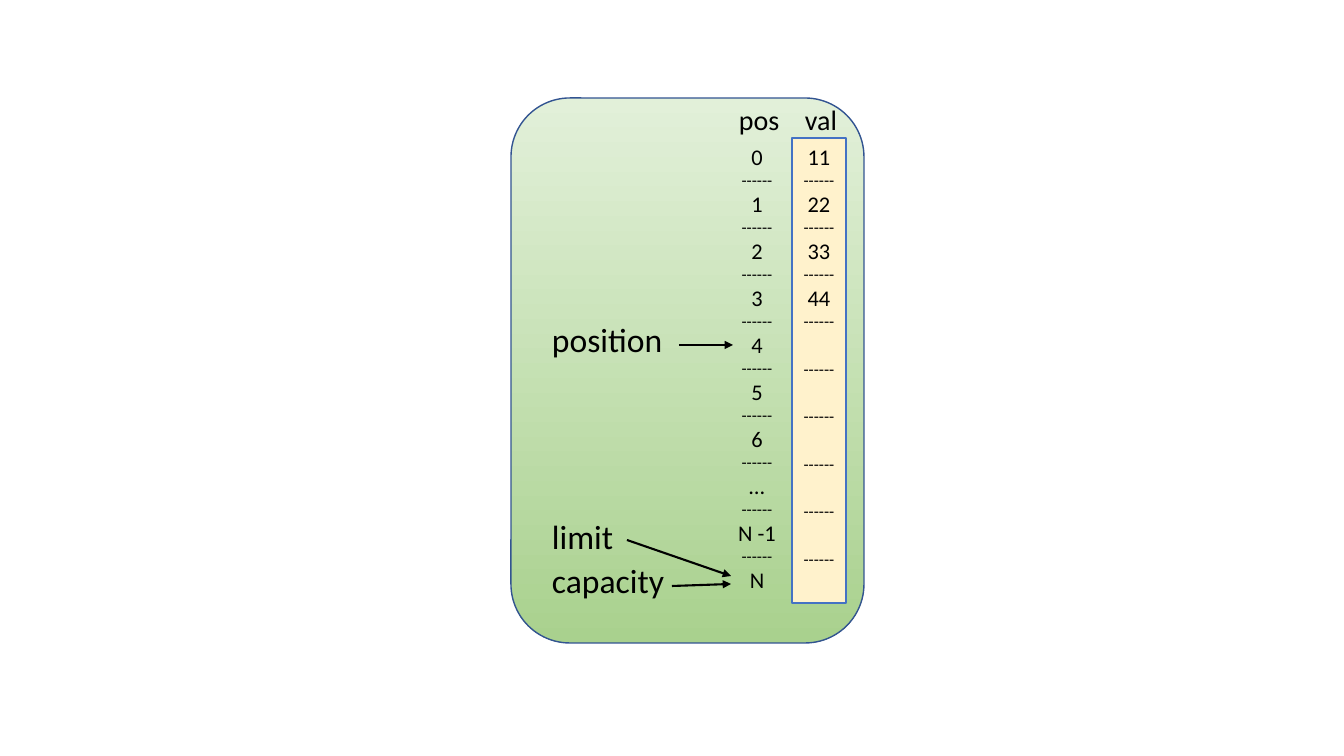
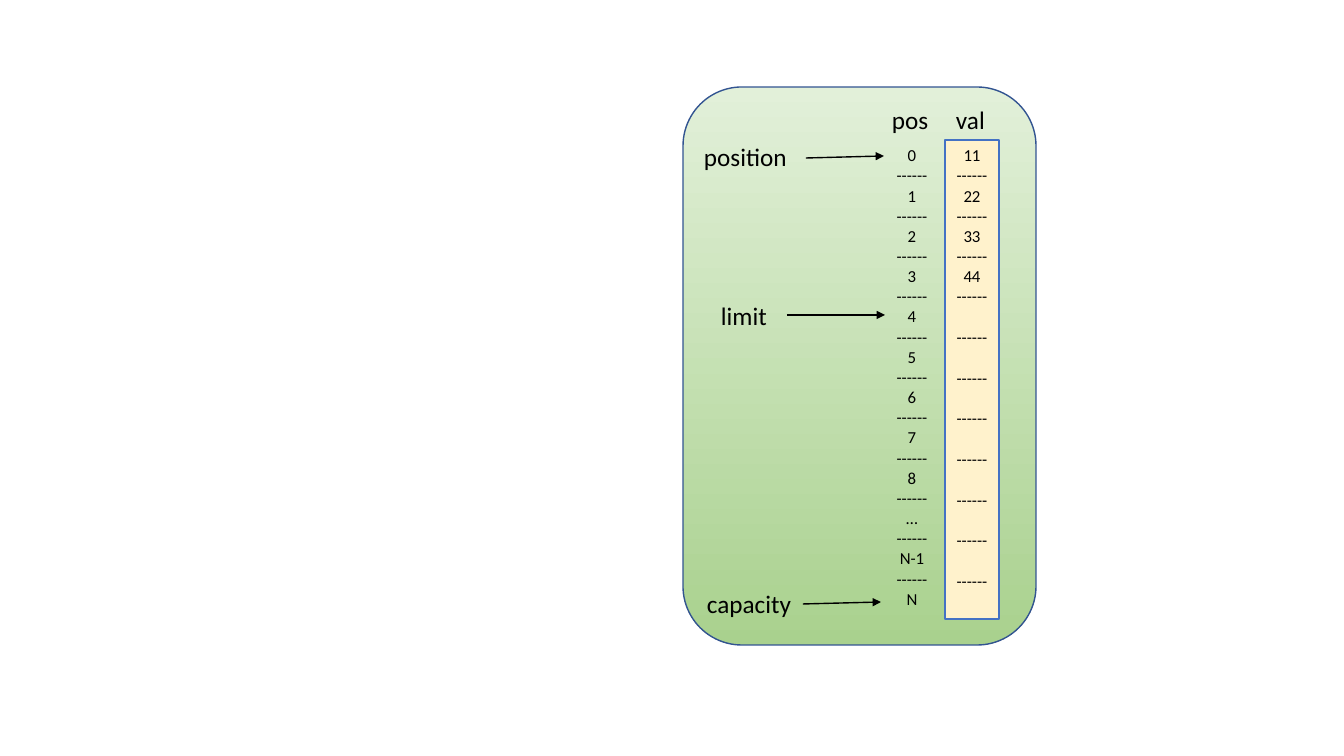
from pptx import Presentation
from pptx.dml.color import RGBColor
from pptx.enum.shapes import MSO_CONNECTOR, MSO_SHAPE
from pptx.enum.text import MSO_ANCHOR, PP_ALIGN
from pptx.oxml.ns import qn
from pptx.util import Pt
from lxml.etree import SubElement

SCALE = 914400 / 100.8
FONT = "Calibri"
LINE_HEIGHT = 1.22
DASHES = "------"
DASH_SIZE = 12
COLORS = {
    "panel_top": "E2F0D9",
    "panel_bottom": "A9D18E",
    "panel_line": "325491",
    "values_fill": "FFF2CC",
    "values_line": "4472C4",
    "ink": "000000",
}


def px(length):
    return round(length * SCALE)


def color(name):
    return RGBColor.from_string(COLORS[name])


class BufferDiagram:
    def __init__(self, presentation, label_size, heading_size, row_size, arrow_width):
        self.slide = presentation.slides.add_slide(presentation.slide_layouts[6])
        self.label_size = label_size
        self.heading_size = heading_size
        self.row_size = row_size
        self.arrow_width = arrow_width

    def shape(self, kind, box, line):
        shape = self.slide.shapes.add_shape(kind, *map(px, box))
        shape.shadow.inherit = False
        shape.line.color.rgb = color(line)
        shape.line.width = Pt(1)
        return shape

    def panel(self, *box):
        fill = self.shape(MSO_SHAPE.ROUNDED_RECTANGLE, box, "panel_line").fill
        fill.gradient()
        fill.gradient_angle = 270
        for stop, name in zip(fill.gradient_stops, ("panel_top", "panel_bottom")):
            stop.color.rgb = color(name)

    def frame(self, shape):
        frame = shape.text_frame
        frame.word_wrap = True
        frame.vertical_anchor = MSO_ANCHOR.TOP
        frame.margin_left = frame.margin_right = 0
        return frame

    def fill_paragraph(self, paragraph, text, size, alignment=PP_ALIGN.LEFT):
        paragraph.text = text
        paragraph.alignment = alignment
        paragraph.font.name = FONT
        paragraph.font.size = Pt(size)
        paragraph.font.color.rgb = color("ink")

    def text(self, text, left, top, width, height, size):
        box = self.slide.shapes.add_textbox(*map(px, (left, top, width, height)))
        self.fill_paragraph(self.frame(box).paragraphs[0], text, size)

    def label(self, text, left, top):
        self.text(text, left, top, 125, round(self.label_size * 2.1), self.label_size)

    def heading(self, text, left, top):
        self.text(text, left, top, 50, round(self.heading_size * 2.2), self.heading_size)

    def rows(self, shape, entries):
        frame = self.frame(shape)
        paragraph = frame.paragraphs[0]
        for index, entry in enumerate(entries):
            if index:
                paragraph = frame.add_paragraph()
                self.fill_paragraph(paragraph, DASHES, DASH_SIZE, PP_ALIGN.CENTER)
                if not entries[index - 1]:
                    paragraph.space_before = Pt(round(self.row_size * LINE_HEIGHT, 2))
            if entry:
                if index:
                    paragraph = frame.add_paragraph()
                self.fill_paragraph(paragraph, entry, self.row_size, PP_ALIGN.CENTER)

    def positions(self, entries, *box):
        self.rows(self.slide.shapes.add_textbox(*map(px, box)), entries)

    def values(self, entries, *box):
        shape = self.shape(MSO_SHAPE.RECTANGLE, box, "values_line")
        shape.fill.solid()
        shape.fill.fore_color.rgb = color("values_fill")
        self.rows(shape, entries)

    def arrow(self, *ends):
        connector = self.slide.shapes.add_connector(MSO_CONNECTOR.STRAIGHT, *map(px, ends))
        connector.line.color.rgb = color("ink")
        connector.line.width = Pt(self.arrow_width)
        properties = connector.element.spPr
        SubElement(properties.find(qn("a:ln")), qn("a:tailEnd"), type="triangle")
        SubElement(properties, qn("a:effectLst"))


def pad(values, positions):
    return values + [""] * (len(positions) - len(values))


presentation = Presentation()
presentation.slide_width = px(1344)
presentation.slide_height = px(756)
stored = ["11", "22", "33", "44"]

writing = BufferDiagram(presentation, label_size=24, heading_size=20, row_size=16, arrow_width=1.5)
write_positions = [str(number) for number in range(7)] + ["…", "N -1", "N"]
writing.panel(511, 98, 353, 545)
writing.positions(write_positions, 728, 138, 58, 465)
writing.values(pad(stored, write_positions), 792, 138, 54, 465)
for name, top in (("position", 314), ("limit", 511), ("capacity", 555)):
    writing.label(name, 552, top)
for ends in ((672, 586, 731, 584), (679, 345, 733, 345), (627, 540, 731, 576)):
    writing.arrow(*ends)
for name, left in (("pos", 739), ("val", 805)):
    writing.heading(name, left, 98)

reading = BufferDiagram(presentation, label_size=18, heading_size=18, row_size=12, arrow_width=1)
read_positions = [str(number) for number in range(9)] + ["…", "N-1", "N"]
reading.panel(683, 87, 353, 558)
reading.positions(read_positions, 885, 140, 54, 479)
reading.values(pad(stored, read_positions), 945, 140, 54, 479)
for name, left, top in (("position", 704, 136), ("limit", 721, 295), ("capacity", 707, 583)):
    reading.label(name, left, top)
for ends in ((803, 604, 881, 602), (806, 158, 884, 156), (787, 315, 885, 315)):
    reading.arrow(*ends)
for name, left in (("pos", 892), ("val", 956)):
    reading.heading(name, left, 99)

presentation.save("out.pptx")
